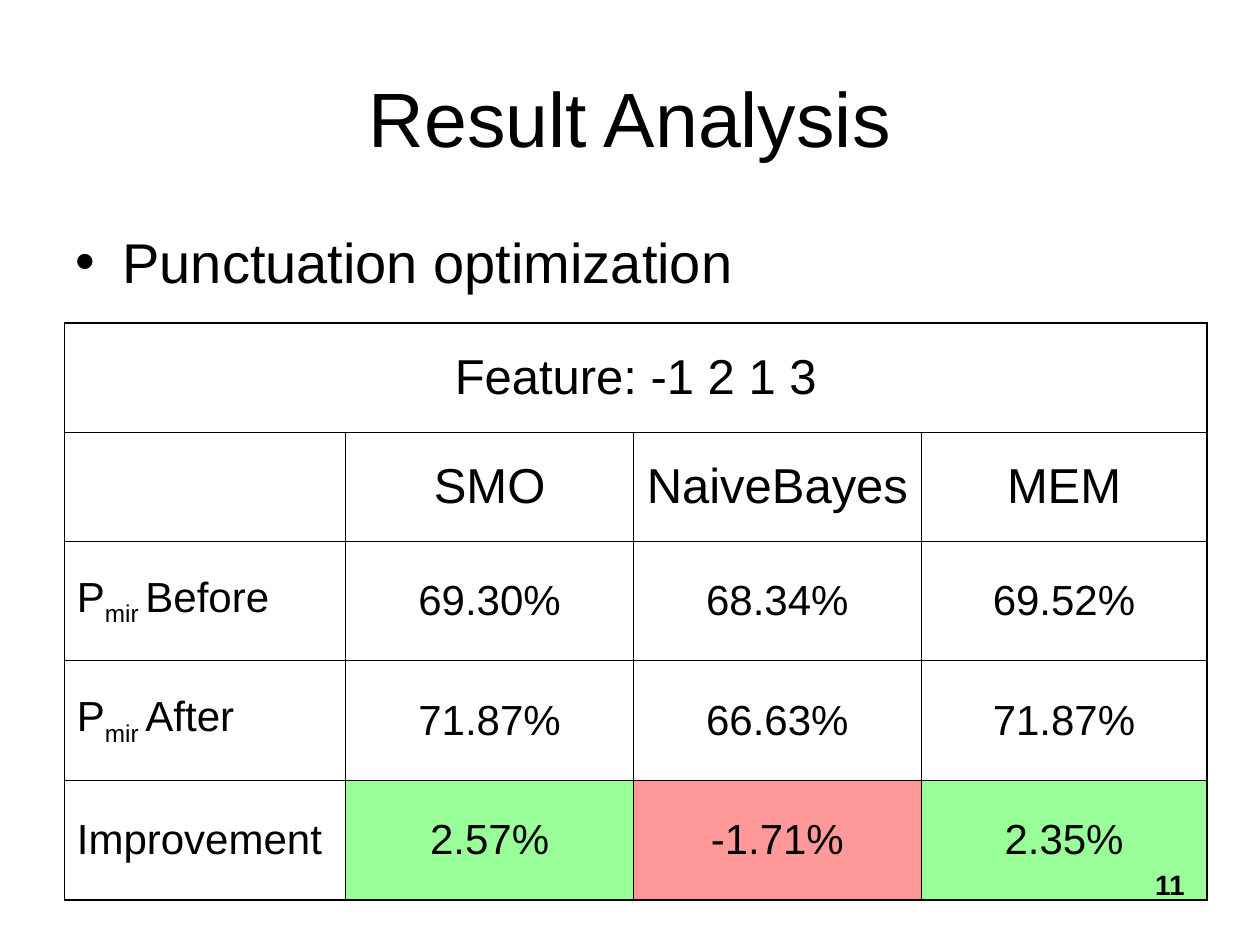
from dataclasses import dataclass
from typing import Any

from lxml.etree import SubElement
from pptx import Presentation
from pptx.dml.color import RGBColor
from pptx.enum.text import MSO_VERTICAL_ANCHOR as Anchor, PP_PARAGRAPH_ALIGNMENT as Align
from pptx.oxml import parse_xml
from pptx.oxml.ns import nsdecls, qn
from pptx.util import Cm, Pt

BLACK = RGBColor(0x00, 0x00, 0x00)
GREEN = RGBColor(0x99, 0xFF, 0x99)
RED = RGBColor(0xFF, 0x99, 0x99)

THIN, THICK = Pt(0.45), Pt(1.08)
MARGINS = {"margin_left": Cm(0.25), "margin_right": Cm(0.25),
           "margin_top": Cm(0.13), "margin_bottom": Cm(0.13)}
SUBSCRIPT = "mir "
COLUMN_WIDTHS = (5.67, 5.8, 5.8, 5.76)
ROW_HEIGHTS = (2.2, 2.2, 2.41, 2.41, 2.41)


@dataclass(frozen=True)
class TextBlock:
    text: str
    left: float
    top: float
    width: float
    height: float
    size: float
    align: Any = Align.LEFT
    anchor: Any = Anchor.TOP
    bold: bool = False
    bullet: bool = False


@dataclass(frozen=True)
class ResultRow:
    texts: tuple[str, ...]
    size: float
    fills: tuple[Any, ...] = (None,) * 4


TEXT_BLOCKS = (
    TextBlock("Result Analysis", 1.27, 0.76, 22.86, 3.18, 44, Align.CENTER, Anchor.MIDDLE),
    TextBlock("Punctuation optimization", 1.27, 4.45, 22.86, 1.8, 32, bullet=True),
)
PAGE_NUMBER = TextBlock("11", 18.21, 17.35, 5.92, 1.32, 16, Align.RIGHT, bold=True)

RESULTS = (
    ResultRow(("Feature: -1 2 1 3",), 28),
    ResultRow(("", "SMO", "NaiveBayes", "MEM"), 28),
    ResultRow((f"P{SUBSCRIPT}Before", "69.30%", "68.34%", "69.52%"), 24),
    ResultRow((f"P{SUBSCRIPT}After", "71.87%", "66.63%", "71.87%"), 24),
    ResultRow(("Improvement", "2.57%", "-1.71%", "2.35%"), 24, (None, GREEN, RED, GREEN)),
)


def apply(target: Any, values: dict[str, Any]) -> None:
    for name, value in values.items():
        setattr(target, name, value)


def add_span(para: Any, text: str, size: float, bold: bool = False) -> Any:
    span = para.add_run()
    span.text = text
    apply(span.font, {"name": "Arial", "size": Pt(size), "bold": bold})
    span.font.color.rgb = BLACK
    return span


def add_bullet(para: Any) -> None:
    properties = para._p.get_or_add_pPr()
    apply_indent = {"marL": Cm(0.95), "indent": -Cm(0.95)}
    for name, value in apply_indent.items():
        properties.set(name, str(int(value)))
    SubElement(properties, qn("a:buFont")).set("typeface", "Arial")
    SubElement(properties, qn("a:buChar")).set("char", "•")


def add_text(page: Any, block: TextBlock) -> None:
    box = page.shapes.add_textbox(Cm(block.left), Cm(block.top), Cm(block.width), Cm(block.height))
    apply(box.text_frame, {"word_wrap": True, "vertical_anchor": block.anchor, **MARGINS})
    para = box.text_frame.paragraphs[0]
    para.alignment = block.align
    if block.bullet:
        add_bullet(para)
    add_span(para, block.text, block.size, block.bold)


def set_borders(cell: Any, widths: dict[str, int]) -> None:
    properties = cell._tc.get_or_add_tcPr()
    for index, (side, width) in enumerate(widths.items()):
        line = parse_xml(
            f'<a:ln{side} {nsdecls("a")} w="{int(width)}"><a:solidFill>'
            f'<a:srgbClr val="{BLACK}"/></a:solidFill></a:ln{side}>')
        properties.insert(index, line)


def fill_cell(cell: Any, text: str, size: float, align: Any, color: Any) -> None:
    apply(cell, {"vertical_anchor": Anchor.MIDDLE, **MARGINS})
    if color is None:
        cell.fill.background()
    else:
        cell.fill.solid()
        cell.fill.fore_color.rgb = color
    para = cell.text_frame.paragraphs[0]
    para.alignment = align
    before, subscript, after = text.partition(SUBSCRIPT)
    for part in filter(None, (before, subscript, after)):
        span = add_span(para, part, size)
        if part == SUBSCRIPT:
            span.font._element.set("baseline", "-25000")


def add_results(page: Any) -> None:
    row_count, column_count = len(ROW_HEIGHTS), len(COLUMN_WIDTHS)
    frame = page.shapes.add_table(row_count, column_count, Cm(1.3), Cm(6.51),
                                  Cm(sum(COLUMN_WIDTHS)), Cm(sum(ROW_HEIGHTS)))
    table = frame.table
    apply(table, {"first_row": False, "horz_banding": False})
    for column, width in zip(table.columns, COLUMN_WIDTHS):
        column.width = Cm(width)
    for row, height in zip(table.rows, ROW_HEIGHTS):
        row.height = Cm(height)
    table.cell(0, 0).merge(table.cell(0, column_count - 1))

    for row, result in enumerate(RESULTS):
        last = len(result.texts) - 1
        for column, (text, color) in enumerate(zip(result.texts, result.fills)):
            cell = table.cell(row, column)
            is_label = row > 0 and column == 0
            fill_cell(cell, text, result.size, Align.LEFT if is_label else Align.CENTER, color)
            outer = {"L": column == 0, "R": column == last,
                     "T": row == 0, "B": row == row_count - 1}
            set_borders(cell, {side: THICK if edge else THIN for side, edge in outer.items()})


def main() -> None:
    deck = Presentation()
    apply(deck, {"slide_width": Cm(25.4), "slide_height": Cm(19.05)})
    page = deck.slides.add_slide(deck.slide_layouts[6])
    for block in TEXT_BLOCKS:
        add_text(page, block)
    add_results(page)
    add_text(page, PAGE_NUMBER)
    deck.save("out.pptx")


if __name__ == "__main__":
    main()
